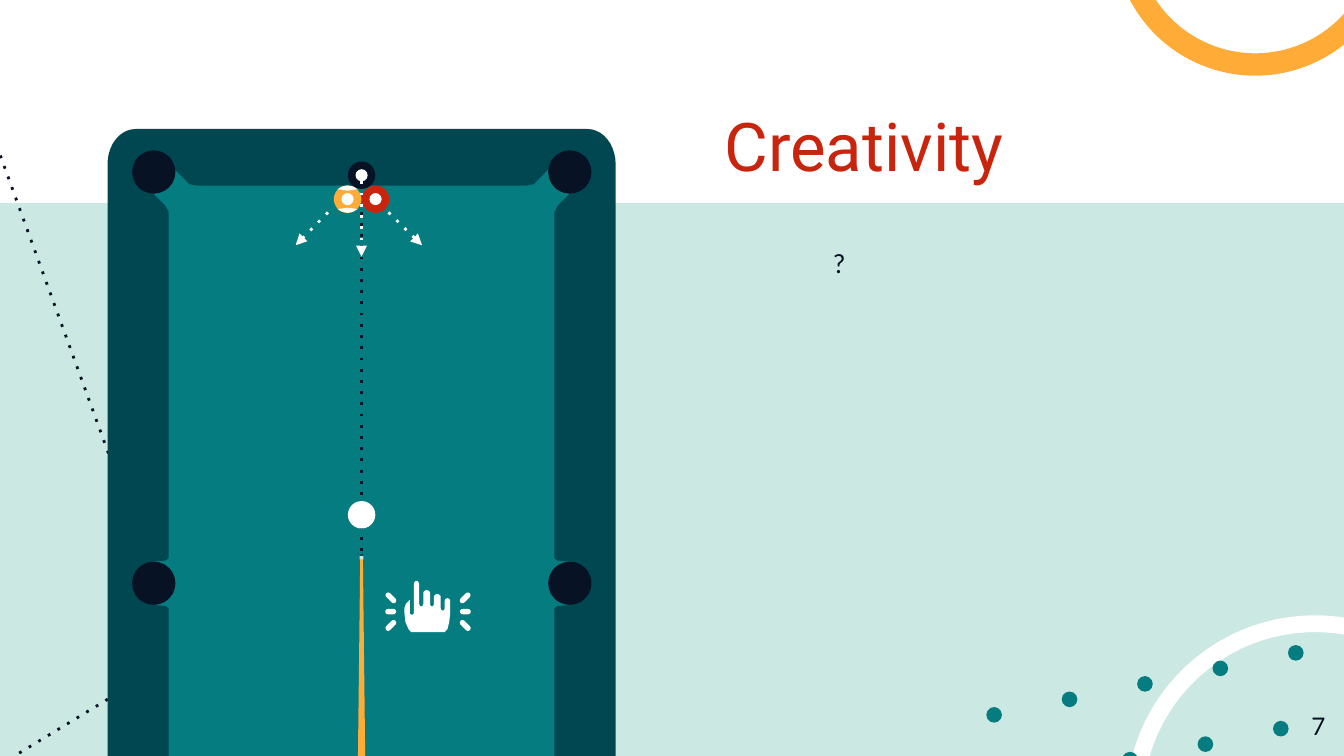
from math import cos, radians, sin

from lxml import etree
from pptx import Presentation
from pptx.dml.color import RGBColor
from pptx.enum.dml import MSO_LINE
from pptx.enum.shapes import MSO_CONNECTOR, MSO_SHAPE
from pptx.enum.text import MSO_ANCHOR, MSO_AUTO_SIZE, PP_ALIGN
from pptx.oxml.ns import qn
from pptx.util import Pt

RECTANGLE, OVAL, ROUNDED = MSO_SHAPE.RECTANGLE, MSO_SHAPE.OVAL, MSO_SHAPE.ROUNDED_RECTANGLE
STRAIGHT, ROUND_DOT = MSO_CONNECTOR.STRAIGHT, MSO_LINE.ROUND_DOT
TOP, MIDDLE, NO_FIT = MSO_ANCHOR.TOP, MSO_ANCHOR.MIDDLE, MSO_AUTO_SIZE.NONE
LEFT, RIGHT = PP_ALIGN.LEFT, PP_ALIGN.RIGHT

MINT = RGBColor(0xCC, 0xE8, 0xE3)
WHITE = RGBColor(0xFF, 0xFF, 0xFF)
TEAL = RGBColor(0x05, 0x7D, 0x80)
DARK_TEAL = RGBColor(0x00, 0x47, 0x52)
NAVY = RGBColor(0x07, 0x12, 0x24)
ORANGE = RGBColor(0xFF, 0xAB, 0x37)
RED = RGBColor(0xC9, 0x24, 0x0D)

# Text: words, (left, top, width, height), font, size, colour, alignment, anchor
TITLE = ("Creativity", (380.9, 54.7, 255.6, 45.4), "Roboto", 36, RED, LEFT, MIDDLE)
BODY = ("?", (439.2, 125.3, 205.9, 59), "Lato", 14, NAVY, LEFT, TOP)
PAGE_NUMBER = ("7", (673.9, 373.7, 43.2, 31), "Lato", 13, NAVY, RIGHT, TOP)

# Rings: centre x, centre y, diameter, colour, line width
LOWER_RING = (704.5, 431, 193.7, WHITE, 9)
UPPER_RING = (672.5, -35.3, 139.7, ORANGE, 12)
# Dot rows: first centre x, first centre y, count
DOT_ROWS = [(532.6, 383, 5), (605.4, 407, 3)]
DOT_STEP = (40.4, -8.3)
WALL_LINE = [(0, 409.7), (97.2, 350.6), (-2.9, 74.9)]

# Table: offsets from its centre, one quarter each
CENTRE_X, CENTRE_Y = 193.7, 312.5
BED = (66.2, 73.4, 255.6, 476.6)
CUSHION_QUARTER = [
    (0, -213.1), (88.6, -213.1), (92.2, -213.8), (100.1, -221.8), (100.1, -220.3),
    (104, -212), (111.6, -208.8), (105.1, -202.3), (103.3, -198.7), (103.3, -13.7),
    (104.8, -12.2), (113, -11.5), (104, -8), (100.1, 0),
]
POCKET_XS, POCKET_YS, POCKET_SIZE = (82.4, 305.3), (92.2, 312.5), 23.2

BALL_SIZE, SPOT_SIZE = 14.7, 6.5
CUE_BALL_Y = 275.8
BALLS = [(193.7, 93.9, NAVY), (186.2, 106.7, ORANGE), (201.2, 106.7, RED)]
STRIPE_CAP = [(-5.4, -5.3), (-2.9, -6.8), (0, -7.35), (2.9, -6.8), (5.4, -5.3), (0, -4.6)]
CUE = [(189.4, 610.6), (193, 298), (194.4, 298), (198, 610.6), (193.7, 612.7)]
CUE_TIP = (192.8, 296.7, 1.8, 1.4)
CUE_FERRULE = (192.7, 298, 2, 1.7)
AIM_LINE = ((193.7, 295.2), (193.7, 109.4))
ARROWS = [
    ((175.7, 113.8), (158.4, 131.4)),
    ((208.1, 113.8), (226.1, 131.4)),
    ((193.7, 97.2), (193.7, 137.5)),
]

# Hand: fingertips and gaps as (from x, to x, y, bulge), then the palm
HAND_LEFT, HAND_TOP = 216.7, 311.2
FINGER_TURNS = [
    (5, 7.9, 2.2, -2.2), (7.9, 10.1, 12.2, 1.5), (10.1, 13.7, 6.5, -1.5),
    (13.7, 15.8, 12.2, 1.5), (15.8, 19.4, 8.6, -1.5), (19.4, 21.6, 14.4, 1.5),
    (21.6, 24.5, 10.8, -1.5),
]
PALM = [
    (24.5, 17.3), (24, 22), (23, 25.9), (21.6, 27.4), (3.6, 27.4), (2.2, 25.9),
    (0.5, 22), (0, 17.3), (0, 14.4), (0.8, 12.3), (2.9, 10.1),
]
THUMB_TURN = (2.9, 5, 17.3, 0.8)
RAYS_X, RAYS_Y = 229.3, 327.7
# Rays: x offset, y offset, length, angle
RAYS = [(19.9, -7.4, 7, -45), (20, 0, 5.8, 0), (19.9, 7.4, 7, 45)]


def paint(shape, fill=None, line=None, width=1.5):
    shape.shadow.inherit = False
    if fill is None:
        shape.fill.background()
    else:
        shape.fill.solid()
        shape.fill.fore_color.rgb = fill
    if line is None:
        shape.line.fill.background()
    else:
        shape.line.color.rgb = line
        shape.line.width = Pt(width)
    return shape


def add_block(kind, frame, fill):
    return paint(page.shapes.add_shape(kind, *map(Pt, frame)), fill)


def add_circle(x, y, size, fill=None, line=None, width=1.5):
    frame = (x - size / 2, y - size / 2, size, size)
    return paint(page.shapes.add_shape(OVAL, *map(Pt, frame)), fill, line, width)


def add_outline(contours, closed=True):
    """Build one freeform from several contours; inner ones become holes."""
    builder = None
    for contour in contours:
        (x, y), *others = [(Pt(x), Pt(y)) for x, y in contour]
        if builder is None:
            builder = page.shapes.build_freeform(x, y, scale=1.0)
        else:
            builder.move_to(x, y)
        builder.add_line_segments(others, close=closed)
    return builder.convert_to_shape()


def arc(x, y, radius_x, radius_y, start, end, steps=10):
    angles = [radians(start + (end - start) * i / steps) for i in range(steps + 1)]
    return [(x + radius_x * cos(a), y + radius_y * sin(a)) for a in angles]


def half_turn(start, end, y, bulge):
    return arc((start + end) / 2, y, (end - start) / 2, bulge, 180, 0)


def shifted(points, x, y):
    return [(x + dx, y + dy) for dx, dy in points]


def mirrored(quarter):
    """Reflect a top-right quarter into a full contour around the table centre."""
    right = quarter + [(x, -y) for x, y in quarter[-2::-1]]
    return shifted(right + [(-x, y) for x, y in right[-2:0:-1]], CENTRE_X, CENTRE_Y)


def make_dotted(line):
    line.dash_style = ROUND_DOT
    outline = line._get_or_add_ln()
    outline.find(qn("a:prstDash")).set("val", "dot")
    return outline


def add_dotted_line(start, end, colour, arrow=False):
    connector = page.shapes.add_connector(STRAIGHT, *map(Pt, start + end))
    connector.line.color.rgb = colour
    connector.line.width = Pt(1.5)
    outline = make_dotted(connector.line)
    if arrow:
        etree.SubElement(outline, qn("a:tailEnd"), type="triangle")
    etree.SubElement(connector.element.spPr, qn("a:effectLst"))


def write(box, words, frame, font, size, colour, alignment, anchor):
    box.left, box.top, box.width, box.height = map(Pt, frame)
    text = box.text_frame
    text.word_wrap, text.auto_size, text.vertical_anchor = True, NO_FIT, anchor
    text.margin_left = text.margin_right = text.margin_top = text.margin_bottom = Pt(7.2)
    para = text.paragraphs[0]
    para.alignment, para.space_before = alignment, Pt(0)
    span = para.add_run()
    span.text = words
    span.font.name, span.font.size, span.font.color.rgb = font, Pt(size), colour


deck = Presentation()
deck.slide_width, deck.slide_height = Pt(720), Pt(405)
page = deck.slides.add_slide(deck.slide_layouts[0])
page.background.fill.solid()
page.background.fill.fore_color.rgb = MINT

add_block(RECTANGLE, (0, 0, 720, 108.7), WHITE)
for x, y, size, colour, width in (LOWER_RING, UPPER_RING):
    add_circle(x, y, size, line=colour, width=width)
for x, y, count in DOT_ROWS:
    for i in range(count):
        add_circle(x + i * DOT_STEP[0], y + i * DOT_STEP[1], 8.4, TEAL)
make_dotted(paint(add_outline([WALL_LINE], closed=False), line=NAVY).line)

for box, content in zip(page.placeholders, (TITLE, BODY)):
    write(box, *content)
    box.element.getparent().append(box.element)  # in front of the white band

add_block(RECTANGLE, BED, TEAL)
rim_quarter = [(0, -243.4), *arc(121, -224.6, 15.1, 18.8, -90, 0), (136.1, 0)]
paint(add_outline([mirrored(rim_quarter), mirrored(CUSHION_QUARTER)]), DARK_TEAL)
for x in POCKET_XS:
    for y in POCKET_YS:
        add_circle(x, y, POCKET_SIZE, NAVY)

add_dotted_line(*AIM_LINE, NAVY)
add_block(OVAL, CUE_TIP, DARK_TEAL)
paint(add_outline([CUE]), ORANGE)
add_block(RECTANGLE, CUE_FERRULE, MINT)
add_circle(CENTRE_X, CUE_BALL_Y, BALL_SIZE, WHITE)
for x, y, colour in BALLS:
    add_circle(x, y, BALL_SIZE, colour)
    if colour == ORANGE:
        for side in (1, -1):
            cap = [(dx, side * dy) for dx, dy in STRIPE_CAP]
            paint(add_outline([shifted(cap, x, y)]), WHITE)
    add_circle(x, y, SPOT_SIZE, WHITE)

fingers = [point for turn in FINGER_TURNS for point in half_turn(*turn)]
hand = fingers + PALM + half_turn(*THUMB_TURN)
paint(add_outline([shifted(hand, HAND_LEFT, HAND_TOP)]), WHITE)
for side in (1, -1):
    for dx, dy, length, angle in RAYS:
        frame = (RAYS_X + side * dx - length / 2, RAYS_Y + dy - 1.45, length, 2.9)
        ray = add_block(ROUNDED, frame, WHITE)
        ray.adjustments[0] = 0.5
        ray.rotation = side * angle
for start, end in ARROWS:
    add_dotted_line(start, end, WHITE, arrow=True)

write(page.shapes.add_textbox(0, 0, 0, 0), *PAGE_NUMBER)
deck.save("out.pptx")
